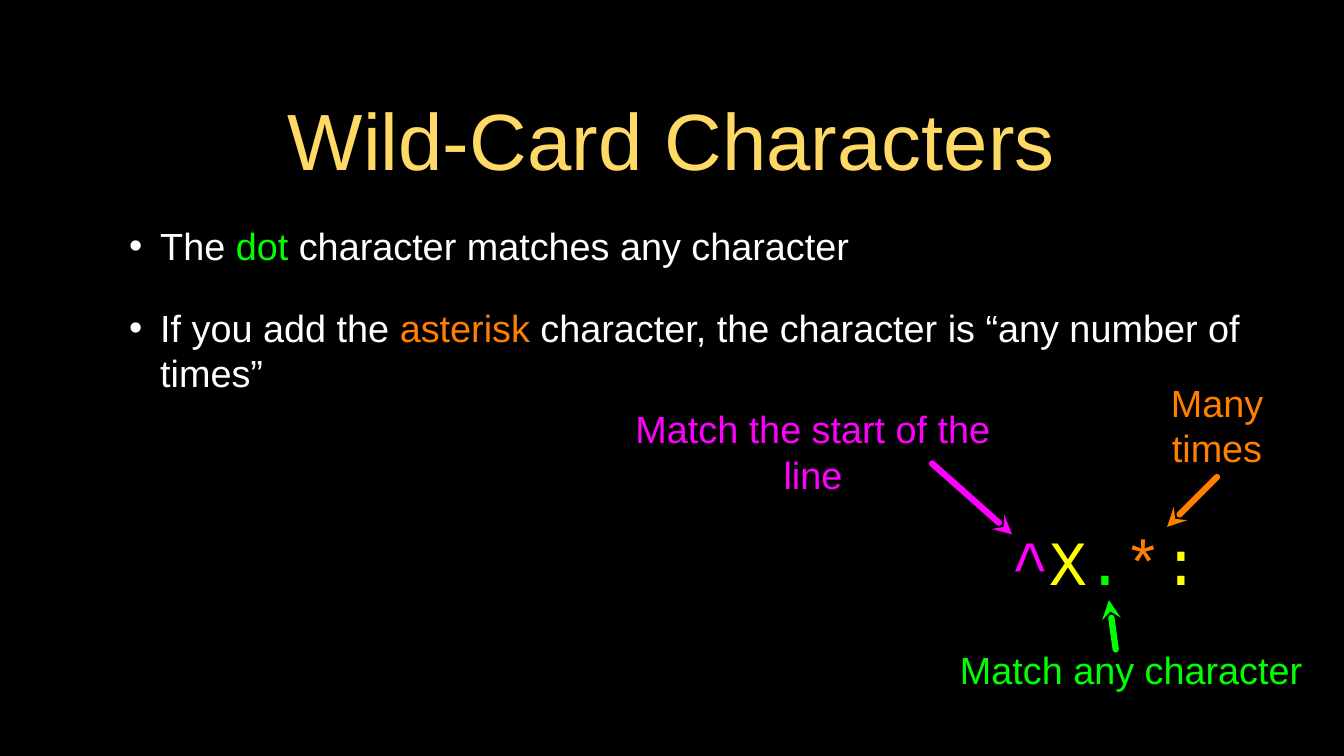
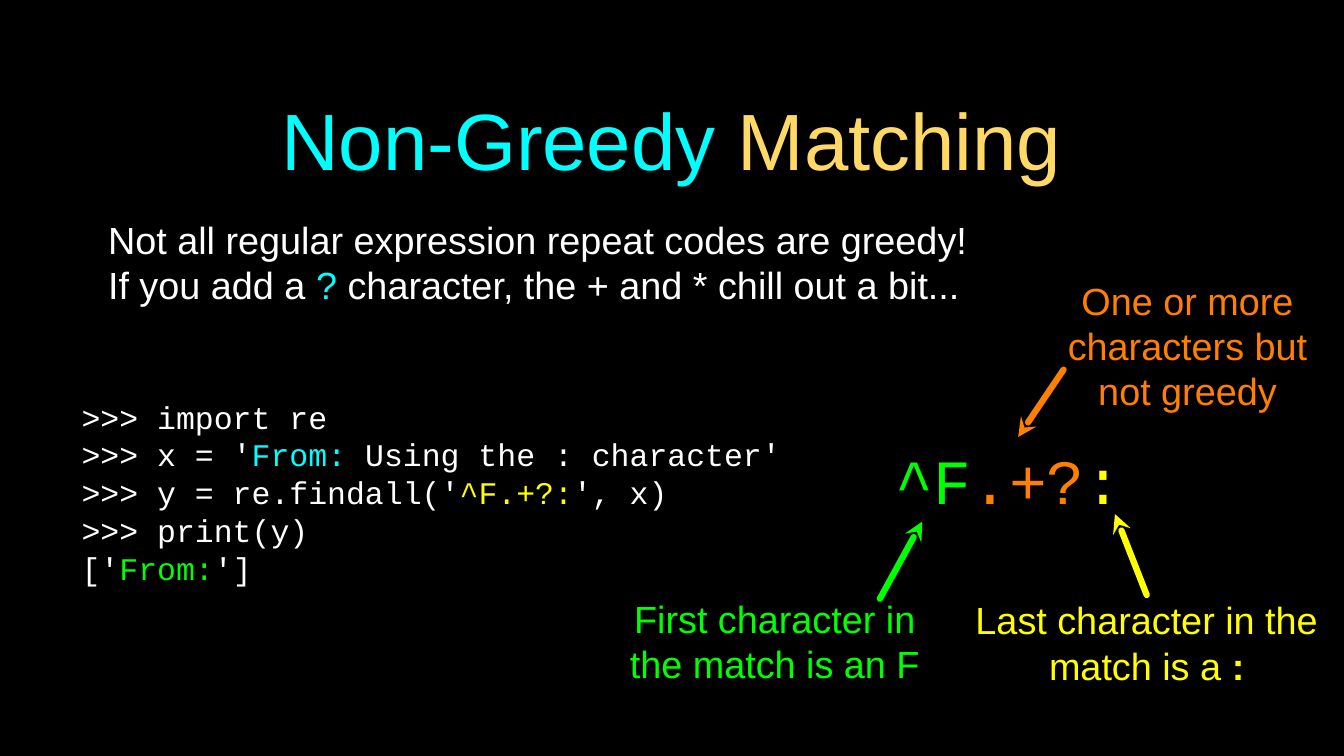
from pptx import Presentation
from pptx.dml.color import RGBColor
from pptx.enum import shapes as sh, text as tx
from pptx.oxml.ns import qn
from pptx.util import Inches, Pt
from lxml import etree

# Colours and text styles
HUES = {
    "black": "000000", "white": "FFFFFF", "gold": "FFD966", "green": "00FF00",
    "orange": "FF7F00", "pink": "FF00FF", "yellow": "FFFF00", "cyan": "00FFFF",
}
MID, TOP = tx.MSO_ANCHOR.MIDDLE, tx.MSO_ANCHOR.TOP
CENTER, LEFT = tx.PP_ALIGN.CENTER, tx.PP_ALIGN.LEFT
STYLES = {
    "title": dict(size=76, font="Arial", inset=0.04, anchor=MID, align=CENTER),
    "list": dict(size=36, font="Arial", inset=0.04, anchor=MID, align=LEFT,
                 indent=(0.82, -0.41), gaps=(10, 35), bullet="•"),
    "body": dict(size=36, font="Arial", inset=0.04, anchor=TOP, align=LEFT,
                 indent=(0.41, 0), gaps=(10,)),
    "note": dict(size=36, font="Arial", inset=0, anchor=MID, align=CENTER),
    "code": dict(size=30, font="Courier New", inset=0, anchor=MID, align=LEFT),
    "regex": dict(size=60, font="Courier New", inset=0, anchor=MID, align=CENTER),
}
STYLES["regex left"] = {**STYLES["regex"], "align": LEFT}
WIDE, HIGH, BAND = 17.78, 10, 0.86
TITLE = (1.26, 0.89, 15.24, 1.89)

# Content: texts are (style, box, paragraphs of (words, hue) runs);
# arrows are (hue, tip, tail)
SLIDES = [
    dict(
        title=[("Wild-Card Characters", "gold")],
        texts=[
            ("list", (1.26, 2.85, 15.24, 2.47), [
                [("The ", "white"), ("dot", "green"),
                 (" character matches any character", "white")],
                [("If you add the ", "white"), ("asterisk", "orange"),
                 (" character, the character is “any number of times”", "white")],
            ]),
            ("regex", (12.95, 6.87, 3.36, 1.07), [
                [("^", "pink"), ("X", "yellow"), (".", "green"),
                 ("*", "orange"), (":", "yellow")]]),
            ("note", (8.04, 5.63, 5.43, 0.68),
             [[("Match the start of the line", "pink")]]),
            ("note", (12.33, 8.51, 5.27, 0.68),
             [[("Match any character", "green")]]),
            ("note", (14.89, 4.93, 2.42, 1.38), [[("Many times", "orange")]]),
        ],
        arrows=[
            ("green", (14.67, 7.94), (14.76, 8.59)),
            ("orange", (15.44, 6.97), (16.1, 6.31)),
            ("pink", (13.39, 7.07), (12.33, 6.13)),
        ],
    ),
    dict(
        title=[("Non-Greedy", "cyan"), (" Matching", "gold")],
        texts=[
            ("body", (0.98, 2.82, 12.21, 1.67), [
                [("Not all regular expression repeat codes are greedy! "
                  "If you add a ", "white"), ("?", "cyan"),
                 (" character, the + and * chill out a bit...", "white")]]),
            ("code", (1.08, 5.03, 10.97, 2.96), [
                [(">>> import re", "white")],
                [(">>> x = '", "white"), ("From: ", "cyan"),
                 ("Using the : character'", "white")],
                [(">>> y = re.findall('", "white"), ("^F.+?:", "yellow"),
                 ("', x)", "white")],
                [(">>> print(y)", "white")],
                [("['", "white"), ("From:", "green"), ("']", "white")],
            ]),
            ("regex left", (11.85, 5.78, 3.24, 1.12), [
                [("^F", "green"), (".+?", "orange"), (":", "yellow")]]),
            ("note", (13.94, 3.66, 3.54, 1.82),
             [[("One or more characters but not greedy", "orange")]]),
            ("note", (8.05, 7.85, 4.4, 1.25),
             [[("First character in the match is an F", "green")]]),
            ("note", (12.89, 7.87, 4.56, 1.25),
             [[("Last character in the match is a ", "yellow"),
               (":", "yellow", True)]]),
        ],
        arrows=[
            ("orange", (13.47, 5.78), (14.07, 4.89)),
            ("green", (12.2, 6.9), (11.64, 7.92)),
            ("yellow", (14.75, 6.8), (15.17, 7.87)),
        ],
    ),
]


def hue(name):
    return RGBColor.from_string(HUES[name])


def put(obj, vals):
    for key, val in vals.items():
        setattr(obj, key, val)


def add_bullet(para, mark, font):
    props = para._p.get_or_add_pPr()
    color = etree.SubElement(props, qn("a:buClr"))
    etree.SubElement(color, qn("a:srgbClr"), val=HUES["white"])
    etree.SubElement(props, qn("a:buFont"), typeface=font)
    etree.SubElement(props, qn("a:buChar"), char=mark)


def add_text(slide, style, box, paras):
    look = STYLES[style]
    frame = slide.shapes.add_textbox(*map(Inches, box)).text_frame
    put(frame, dict(word_wrap=True, vertical_anchor=look["anchor"]))
    put(frame, {"margin_" + side: Inches(look["inset"])
                for side in ("left", "top", "right", "bottom")})
    for i, runs in enumerate(paras):
        para = frame.add_paragraph() if i else frame.paragraphs[0]
        para.alignment = look["align"]
        if "gaps" in look:
            para.space_before = Pt(look["gaps"][i])
        if "indent" in look:
            left, first = (str(Inches(n)) for n in look["indent"])
            props = para._p.get_or_add_pPr()
            props.set("marL", left)
            props.set("indent", first)
        if "bullet" in look:
            add_bullet(para, look["bullet"], look["font"])
        for words, tint, *bold in runs:
            run = para.add_run()
            run.text = words
            put(run.font, dict(size=Pt(look["size"]), name=look["font"],
                               bold=bool(bold)))
            run.font.color.rgb = hue(tint)


def add_arrow(slide, tint, tip, tail):
    line = slide.shapes.add_connector(
        sh.MSO_CONNECTOR.STRAIGHT, *map(Inches, tip + tail))
    line.line.width = Pt(6)
    line.line.color.rgb = hue(tint)
    props = line._element.spPr
    edge = props.find(qn("a:ln"))
    edge.set("cap", "rnd")
    etree.SubElement(edge, qn("a:headEnd"), type="stealth")
    etree.SubElement(props, qn("a:effectLst"))


def add_base(slide):
    # Background and footer band
    back = slide.background.fill
    back.solid()
    back.fore_color.rgb = hue("black")
    band = slide.shapes.add_shape(
        sh.MSO_SHAPE.RECTANGLE,
        *map(Inches, (0, HIGH - BAND, WIDE, BAND)))
    band.shadow.inherit = False
    band.fill.solid()
    band.fill.fore_color.rgb = hue("black")
    band.line.fill.background()


def main():
    deck = Presentation()
    put(deck, dict(slide_width=Inches(WIDE), slide_height=Inches(HIGH)))
    for page in SLIDES:
        slide = deck.slides.add_slide(deck.slide_layouts[6])
        add_base(slide)
        add_text(slide, "title", TITLE, [page["title"]])
        for item in page["texts"]:
            add_text(slide, *item)
        for item in page["arrows"]:
            add_arrow(slide, *item)
    deck.save("out.pptx")


if __name__ == "__main__":
    main()
